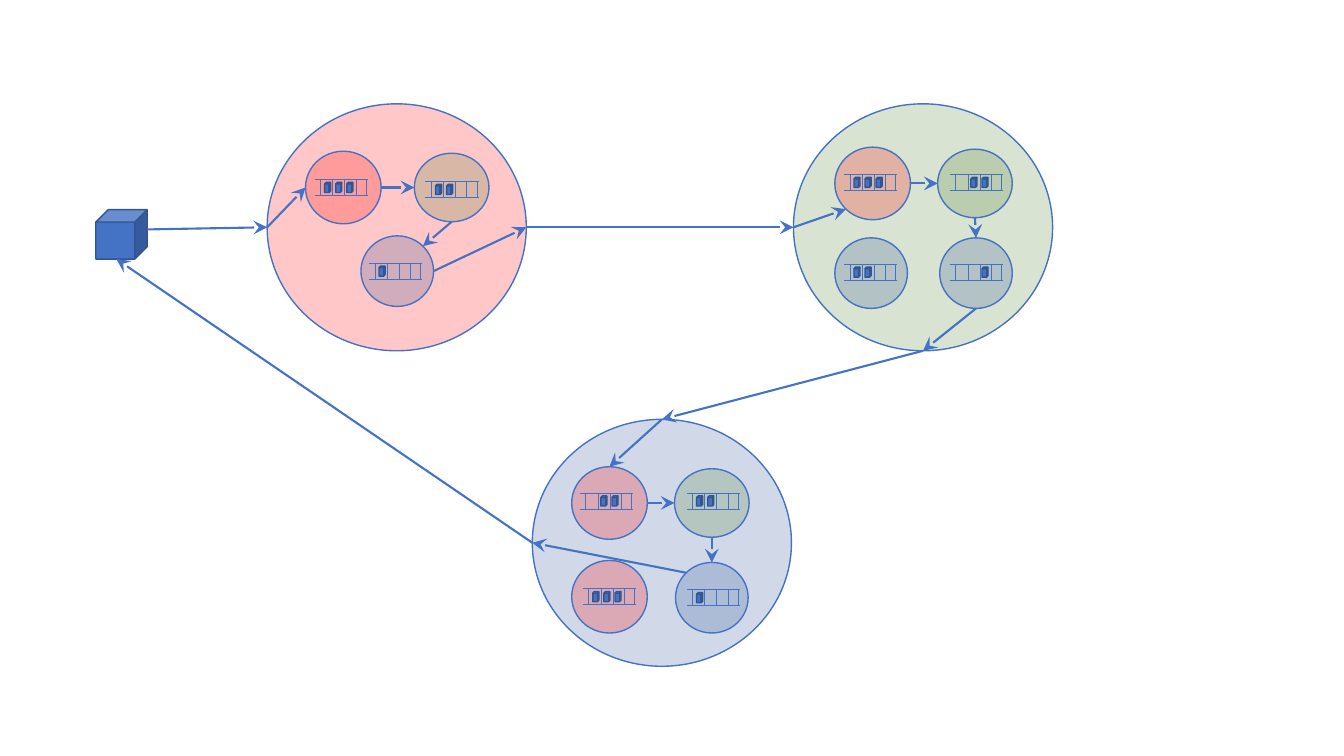
from dataclasses import dataclass

from lxml.etree import SubElement
from pptx import Presentation
from pptx.dml.color import RGBColor
from pptx.enum.shapes import MSO_CONNECTOR as CXN, MSO_SHAPE as SHAPE
from pptx.oxml.ns import qn
from pptx.util import Inches, Pt


@dataclass(frozen=True)
class Theme:
    """Colours, line widths and node sizes of the slide."""
    blue: str = "4472C4"
    edge: str = "325491"
    red_node: str = "FF0000"
    green_node: str = "548235"
    blue_node: str = "2F5597"
    tint: int = 22
    outline: float = 1
    arrow: float = 1.5
    rail: float = 0.5


T = Theme()
CLUSTER_SIZE = (2.57, 2.45)
NODE_SIZES = {T.red_node: (0.75, 0.72), T.green_node: (0.74, 0.68), T.blue_node: (0.72, 0.7)}
DIVIDERS = (0.06, 0.18, 0.3, 0.41, 0.51)
PACKETS = (0.1, 0.21, 0.32)
SITES = {
    "N": (0.5, 0), "E": (1, 0.5), "S": (0.5, 1), "W": (0, 0.5),
    "NW": (0.146, 0.146), "NE": (0.854, 0.146), "SW": (0.146, 0.854),
    "cube out": (1, 0.4), "cube in": (0.4, 1),
}

CLUSTERS = {
    "A": (2.65, 1.03, T.red_node, {
        "A red": (T.red_node, 0.38, 0.47, 0.09, 0.28, (0, 1, 2)),
        "A green": (T.green_node, 1.46, 0.49, 0.11, 0.28, (0, 1)),
        "A blue": (T.blue_node, 0.93, 1.31, 0.08, 0.27, (0,)),
    }),
    "B": (7.87, 1.03, T.green_node, {
        "B red": (T.red_node, 0.41, 0.43, 0.09, 0.27, (0, 1, 2)),
        "B green": (T.green_node, 1.43, 0.45, 0.12, 0.25, (1, 2)),
        "B blue": (T.blue_node, 1.45, 1.33, 0.1, 0.26, (2,)),
        "B idle": (T.blue_node, 0.41, 1.33, 0.09, 0.26, (0, 1)),
    }),
    "C": (5.28, 4.16, T.blue_node, {
        "C red": (T.red_node, 0.39, 0.47, 0.08, 0.26, (1, 2)),
        "C green": (T.green_node, 1.41, 0.49, 0.12, 0.24, (0, 1)),
        "C blue": (T.blue_node, 1.42, 1.42, 0.11, 0.27, (0,)),
        "C idle": (T.red_node, 0.39, 1.4, 0.11, 0.28, (0, 1, 2)),
    }),
}

HOPS = [
    ("cube", "cube out", "A", "W"),
    ("A", "W", "A red", "W"),
    ("A red", "E", "A green", "W"),
    ("A green", "S", "A blue", "NE"),
    ("A blue", "E", "A", "E"),
    ("A", "E", "B", "W"),
    ("B", "W", "B red", "SW"),
    ("B red", "E", "B green", "W"),
    ("B green", "S", "B blue", "N"),
    ("B blue", "S", "B", "S"),
    ("B", "S", "C", "N"),
    ("C", "N", "C red", "N"),
    ("C red", "E", "C green", "W"),
    ("C green", "S", "C blue", "N"),
    ("C blue", "NW", "C", "W"),
    ("C", "W", "cube", "cube in"),
]


def add_solid(shapes, kind, box, fill, edge, tint=None):
    """Add a filled, outlined shape, see-through when a tint is given."""
    sp = shapes.add_shape(kind, *map(Inches, box))
    sp.shadow.inherit = False
    sp.fill.solid()
    sp.fill.fore_color.rgb = RGBColor.from_string(fill)
    sp.line.color.rgb = RGBColor.from_string(edge)
    sp.line.width = Pt(T.outline)
    if tint:
        clr = sp._element.spPr.find(qn("a:solidFill"))[0]
        SubElement(clr, qn("a:alpha"), val=str(tint * 1000))
    return sp


def add_line(shapes, start, end, width, head=False):
    """Add a straight line in the theme blue, with an arrowhead if asked."""
    cx = shapes.add_connector(CXN.STRAIGHT, *start, *end)
    cx.line.color.rgb = RGBColor.from_string(T.blue)
    cx.line.width = Pt(width)
    if head:
        ln = cx.line._get_or_add_ln()
        SubElement(ln, qn("a:tailEnd"), type="stealth", w="lg", len="lg")
    SubElement(cx._element.spPr, qn("a:effectLst"))


def add_cube(shapes, box):
    """Add a packet cube."""
    return add_solid(shapes, SHAPE.CUBE, box, T.blue, T.edge)


def add_queue(shapes, x, y, slots):
    """Add a grouped queue of rails, dividers and packets."""
    w, h = 0.53, 0.16
    rails = [((x, y + dy), (x + w, y + dy)) for dy in (0, h)]
    dividers = [((x + dx, y), (x + dx, y + h)) for dx in DIVIDERS]
    group = shapes.add_group_shape().shapes
    for start, end in rails + dividers:
        add_line(group, map(Inches, start), map(Inches, end), T.rail)
    for slot in slots:
        add_cube(group, (x + PACKETS[slot], y + 0.03, 0.06, 0.1))


def add_cluster(shapes, name, x, y, color, nodes):
    """Add a cluster with its nodes and queues; return the circles by name."""
    circles = {name: add_solid(shapes, SHAPE.OVAL, (x, y, *CLUSTER_SIZE), color, T.blue, T.tint)}
    for node, (fill, dx, dy, qx, qy, slots) in nodes.items():
        box = (x + dx, y + dy, *NODE_SIZES[fill])
        circles[node] = add_solid(shapes, SHAPE.OVAL, box, fill, T.blue, T.tint)
        add_queue(shapes, x + dx + qx, y + dy + qy, slots)
    return circles


def site_point(sp, site):
    """Return the point of a named site on a shape."""
    fx, fy = SITES[site]
    return round(sp.left + fx * sp.width), round(sp.top + fy * sp.height)


def add_route(shapes, parts):
    """Add the arrows that carry the packet from part to part."""
    for source, leave, target, enter in HOPS:
        start, end = site_point(parts[source], leave), site_point(parts[target], enter)
        add_line(shapes, start, end, T.arrow, head=True)


def main():
    """Build and save the slide."""
    prs = Presentation()
    prs.slide_width, prs.slide_height = Inches(13.33), Inches(7.5)
    shapes = prs.slides.add_slide(prs.slide_layouts[6]).shapes
    parts = {}
    for name, cluster in CLUSTERS.items():
        parts.update(add_cluster(shapes, name, *cluster))
    parts["cube"] = add_cube(shapes, (0.95, 2.08, 0.51, 0.49))
    add_route(shapes, parts)
    prs.save("out.pptx")


if __name__ == "__main__":
    main()
